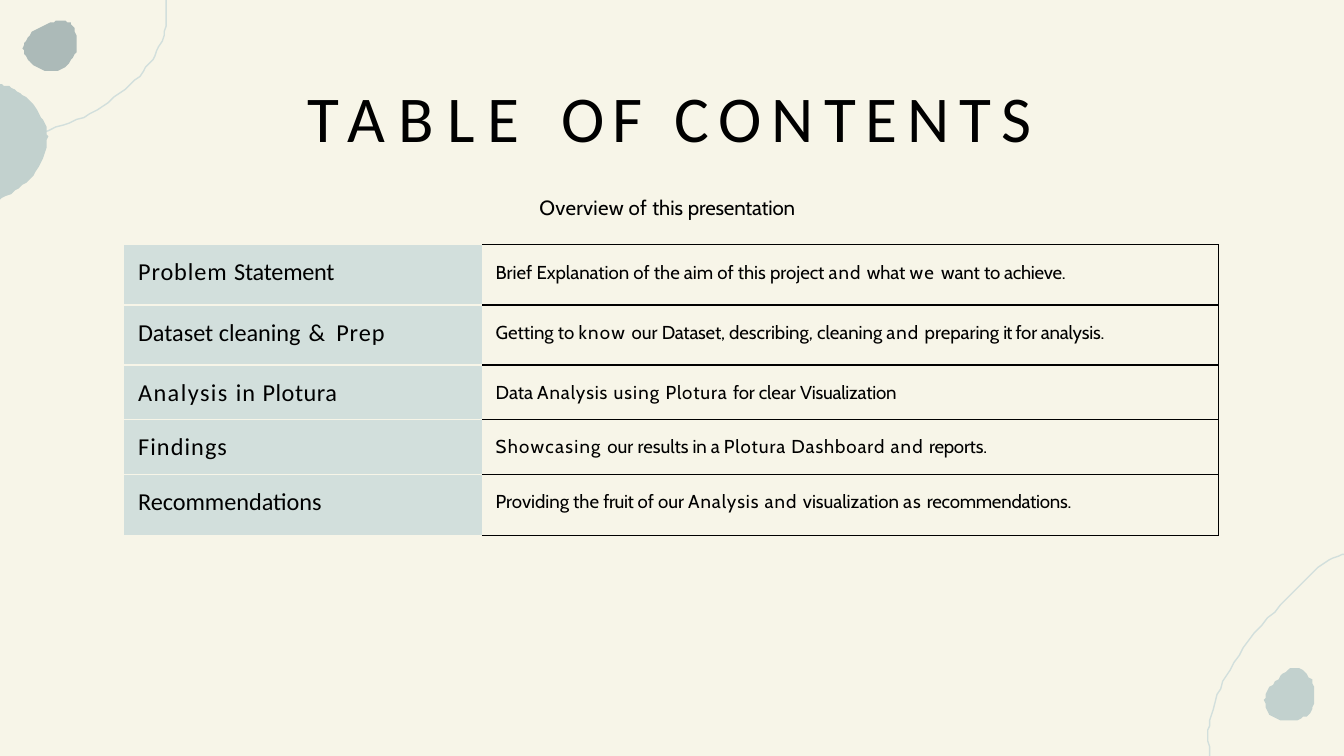
from dataclasses import dataclass

from lxml import etree
from pptx import Presentation
from pptx.dml.color import RGBColor
from pptx.enum import text
from pptx.oxml import ns
from pptx.util import Pt


@dataclass(frozen=True)
class Theme:
    paper: str = "F7F5E8"
    ink: str = "000000"
    label_fill: str = "D2DFDC"
    pebble: str = "C2D1CE"
    dark_pebble: str = "ACBAB8"
    heading_font: str = "Calibri"
    body_font: str = "Cabin"
    title_size: float = 35
    subtitle_size: float = 11
    label_size: float = 13
    detail_size: float = 10
    line: float = 0.75


THEME = Theme()

# Every text is a list of (words, letter spacing in points).
TITLE = [("TABLE ", 7.1), ("OF ", 4.5), ("CONTENTS", 5.3)]
SUBTITLE = [("Overview of ", 0.1), ("this ", 0), ("presentation", -0.1)]
CONTENTS = [
    ([("Problem ", 0.5), ("Statement", -0.1)],
     [("Brief Explanation of the aim of this project ", 0), ("and ", 0.6), ("what ", 0),
      ("we ", 0.8), ("want ", 0), ("to achieve.", -0.1)]),
    ([("Dataset cleaning", 0), (" & ", 1.5), ("Prep", 0.5)],
     [("Getting to ", 0), ("know ", 0.7), ("our ", 0), ("Dataset, ", -0.1),
      ("describing, cleaning ", 0), ("and ", 0.6), ("preparing ", 0), ("it ", -0.6),
      ("for analysis.", -0.1)]),
    ([("Analysis ", 0.8), ("in ", 0.5), ("Plotura", 0.3)],
     [("Data ", 0), ("Analysis ", 0.5), ("using ", 0.6), ("Plotura ", 0.5), ("for ", -0.1),
      ("clear ", 0), ("Visualization", -0.1)]),
    ([("Findings", 0.6)],
     [("Showcasing ", 0.7), ("our results ", 0), ("in ", -0.1), ("a ", 0),
      ("Plotura Dashboard ", 0.5), ("and ", 0.6), ("reports.", -0.1)]),
    ([("Recommendations", 0)],
     [("Providing the ", 0), ("fruit ", -0.2), ("of our ", 0), ("Analysis ", 0.5),
      ("and ", 0.6), ("visualization ", 0), ("as ", 0.5), ("recommendations.", -0.1)]),
]
ROW_HEIGHTS = [32.2, 32.2, 29.3, 29.3, 32.6]

# Anchor points of the ornaments, relative to their corner box.
TOP_ARC = [(0, 75.6), (15, 72.7), (30.2, 68.4), (44.6, 62.6), (58.3, 54.7), (69.8, 45.4),
           (78.5, 36), (84.2, 27.4), (88.4, 16.6), (89.3, 7.9), (88.6, 0)]
TOP_PEBBLE = [(31.7, 10.8), (25.2, 13), (17.3, 17.3), (13, 23), (13, 28.8), (18, 34.6),
              (25.9, 38.2), (33.1, 37.4), (38.2, 32.4), (41, 25.9), (41, 18.7), (38.2, 13),
              (36, 11.5)]
EDGE_STONE = [(0, 45.4), (5, 46.1), (10.8, 49.7), (16.6, 54.7), (22.3, 62.6), (25.2, 69.8),
              (25.2, 77), (22.3, 87.1), (15.8, 95.8), (7.9, 102.2), (0, 106.6)]
BOTTOM_ARC = [(73, 0), (65, 3), (53, 13), (39, 27), (25.5, 42), (14, 58), (6.8, 71.6),
              (1.7, 86), (0.3, 96.8), (1, 108)]
BOTTOM_PEBBLE = [(47, 60.8), (42.8, 61.6), (37.7, 66.6), (32, 73), (30.5, 80.3), (34.8, 87.5),
                 (43.5, 88.9), (51.4, 87.5), (55.7, 83.2), (57.2, 76), (56.4, 68.8), (52, 63)]


def color(value):
    return RGBColor.from_string(value)


def write(frame, runs, font, size, indent=0, top=0):
    """Fill a text frame or cell text with one spaced paragraph."""
    paragraph = frame.paragraphs[0]
    paragraph.alignment = text.PP_ALIGN.LEFT
    paragraph.font.name = font
    paragraph.font.size = Pt(size)
    paragraph.font.color.rgb = color(THEME.ink)
    paragraph._p.get_or_add_pPr().set("marL", str(Pt(indent)))
    for words, spacing in runs:
        run = paragraph.add_run()
        run.text = words
        run._r.get_or_add_rPr().set("spc", str(round(spacing * 100)))


def place_text(shape, box, runs, font, size, indent, top):
    shape.left, shape.top, shape.width, shape.height = (Pt(value) for value in box)
    frame = shape.text_frame
    frame.word_wrap = True
    frame.auto_size = text.MSO_AUTO_SIZE.NONE
    frame.vertical_anchor = text.MSO_ANCHOR.TOP
    frame.margin_left = frame.margin_right = frame.margin_bottom = 0
    frame.margin_top = Pt(top)
    write(frame, runs, font, size, indent)


def smooth_points(anchors, closed, steps=4):
    """Return Catmull-Rom points through the anchors."""
    count = len(anchors)

    def anchor(index):
        return anchors[index % count if closed else min(max(index, 0), count - 1)]

    points = []
    for index in range(count if closed else count - 1):
        around = [anchor(index + offset) for offset in (-1, 0, 1, 2)]
        for step in range(steps):
            t = step / steps
            points.append(tuple(
                0.5 * (2 * b + (c - a) * t + (2 * a - 5 * b + 4 * c - d) * t ** 2
                       + (3 * b - a - 3 * c + d) * t ** 3)
                for a, b, c, d in zip(*around)))
    return points if closed else points + [anchors[-1]]


def add_curve(group, box, anchors, fill=None, loop=False):
    """Draw a filled stone, or a thin open line when no fill is given."""
    left, top = box[:2]
    points = [(left + x, top + y) for x, y in smooth_points(anchors, loop)]
    builder = group.shapes.build_freeform(*points[0], scale=Pt(1))
    builder.add_line_segments(points[1:], close=fill is not None)
    shape = builder.convert_to_shape()
    shape.shadow.inherit = False
    if fill:
        shape.fill.solid()
        shape.fill.fore_color.rgb = color(fill)
        shape.line.fill.background()
    else:
        shape.fill.background()
        shape.line.color.rgb = color(THEME.label_fill)
        shape.line.width = Pt(THEME.line)


def add_top_ornament(slide, box):
    group = slide.shapes.add_group_shape()
    add_curve(group, box, TOP_ARC)
    add_curve(group, box, TOP_PEBBLE, THEME.dark_pebble, loop=True)
    add_curve(group, box, EDGE_STONE, THEME.pebble)


def add_bottom_ornament(slide, box):
    group = slide.shapes.add_group_shape()
    add_curve(group, box, BOTTOM_ARC)
    add_curve(group, box, BOTTOM_PEBBLE, THEME.pebble, loop=True)


def set_borders(cell, sides, value):
    """Draw the named sides (of L, R, T, B) and hide the others."""
    properties = cell._tc.get_or_add_tcPr()
    for side in "LRTB":
        line = etree.SubElement(properties, ns.qn(f"a:ln{side}"), w=str(Pt(THEME.line)))
        if side in sides:
            fill = etree.SubElement(line, ns.qn("a:solidFill"))
            etree.SubElement(fill, ns.qn("a:srgbClr"), val=value)
        else:
            etree.SubElement(line, ns.qn("a:noFill"))


def fill_cell(cell, runs, font, size, indent, top):
    cell.margin_left = cell.margin_right = cell.margin_bottom = 0
    cell.margin_top = Pt(top)
    cell.vertical_anchor = text.MSO_ANCHOR.TOP
    write(cell.text_frame, runs, font, size, indent)


def add_contents_table(slide, box):
    left, top, width, height = (Pt(value) for value in box)
    table = slide.shapes.add_table(len(CONTENTS), 2, left, top, width, height).table
    table.first_row = table.horz_banding = False
    table.columns[0].width = Pt(192)
    table.columns[1].width = width - Pt(192)
    last = len(CONTENTS) - 1
    for index, (label, detail) in enumerate(CONTENTS):
        table.rows[index].height = Pt(ROW_HEIGHTS[index])
        label_cell, detail_cell = table.cell(index, 0), table.cell(index, 1)
        sides = ("T" if index > 0 else "") + ("B" if index < last else "")
        set_borders(label_cell, sides, THEME.paper)
        label_cell.fill.solid()
        label_cell.fill.fore_color.rgb = color(THEME.label_fill)
        fill_cell(label_cell, label, THEME.heading_font, THEME.label_size, 7.6, 7)
        set_borders(detail_cell, "RTB", THEME.ink)
        detail_cell.fill.background()
        fill_cell(detail_cell, detail, THEME.body_font, THEME.detail_size, 7.2, 8.8)


def main():
    presentation = Presentation()
    presentation.slide_width, presentation.slide_height = Pt(720), Pt(405)
    slide = presentation.slides.add_slide(presentation.slide_layouts[5])
    slide.background.fill.solid()
    slide.background.fill.fore_color.rgb = color(THEME.paper)

    add_bottom_ornament(slide, (647, 297, 73, 108))
    add_top_ornament(slide, (0, 0, 90, 107))
    place_text(slide.shapes.title, (37.4, 20.2, 645, 67.7), TITLE,
               THEME.heading_font, THEME.title_size, 127.4, 21)
    add_contents_table(slide, (66.4, 131.2, 586.4, sum(ROW_HEIGHTS)))
    subtitle = slide.shapes.add_textbox(0, 0, 0, 0)
    place_text(subtitle, (288, 103, 151, 14.4), SUBTITLE,
               THEME.body_font, THEME.subtitle_size, 1, 1.3)
    presentation.save("out.pptx")


if __name__ == "__main__":
    main()
